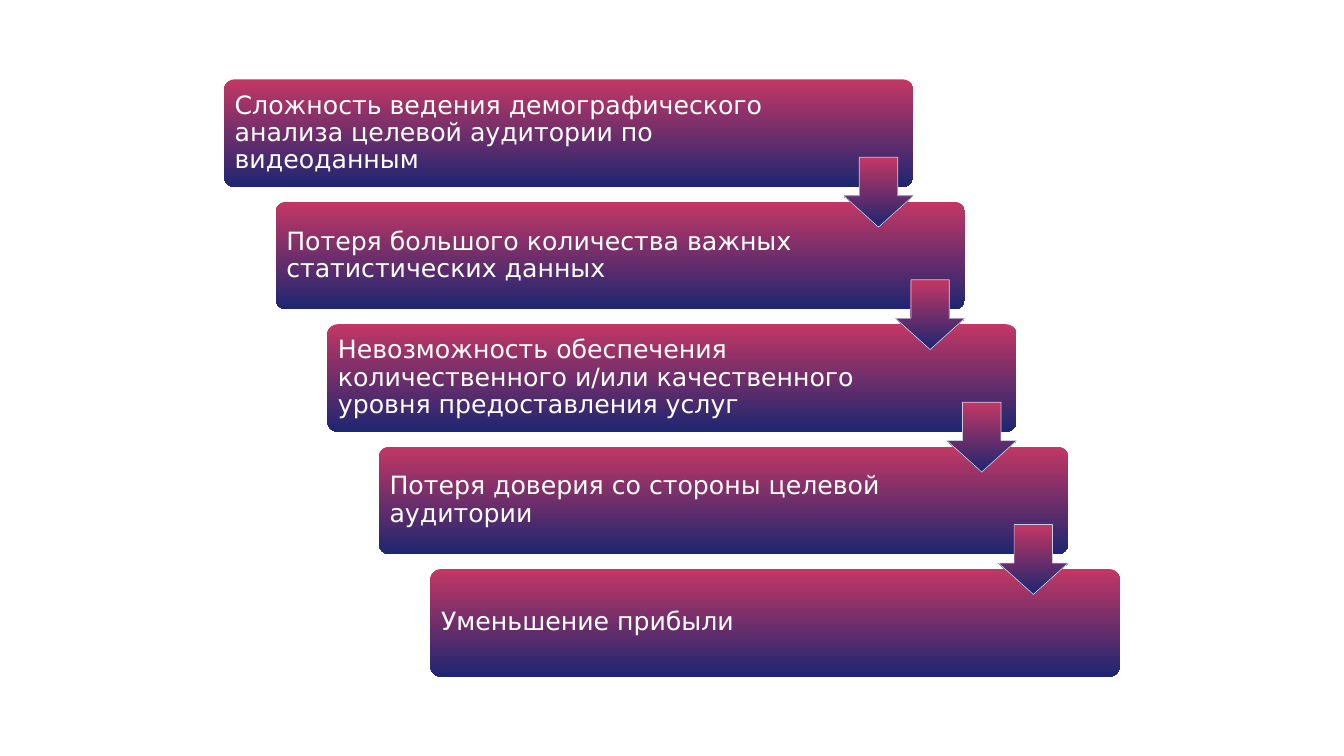
"""Build a slide with a descending staircase of consequences joined by arrows."""
from dataclasses import dataclass
from typing import Any

from lxml.etree import SubElement
from pptx import Presentation
from pptx.dml.color import RGBColor
from pptx.enum.shapes import MSO_SHAPE
from pptx.enum.text import MSO_ANCHOR, PP_ALIGN
from pptx.oxml.ns import qn
from pptx.shapes.autoshape import Shape
from pptx.slide import Slide
from pptx.util import Pt


@dataclass(frozen=True)
class Theme:
    """Colours and type of the slide."""
    gradient_top: RGBColor = RGBColor.from_string("C33764")
    gradient_bottom: RGBColor = RGBColor.from_string("1D2671")
    arrow_line: RGBColor = RGBColor.from_string("D2DEEF")
    text: RGBColor = RGBColor.from_string("FFFFFF")
    font: str = "DejaVu Sans"
    text_size: float = 18
    line_width: float = 0.5
    line_opacity: int = 90


@dataclass(frozen=True)
class Box:
    """Position and size in points."""
    left: float
    top: float
    width: float
    height: float

    def shifted(self, steps: int) -> "Box":
        """Return the box moved down the staircase."""
        return Box(self.left + steps * STEP_RIGHT, self.top + steps * STEP_DOWN,
                   self.width, self.height)


THEME = Theme()
STEP_RIGHT, STEP_DOWN = 36.87, 87.45
FIRST_STAIR = Box(160, 56.7, 492.5, 76.8)
ARROW_SIZE = 49.9
FIRST_ARROW = Box(FIRST_STAIR.left + FIRST_STAIR.width - ARROW_SIZE,
                  FIRST_STAIR.top + 55.7, ARROW_SIZE, ARROW_SIZE)
CONSEQUENCES = (
    "Сложность ведения демографического анализа целевой аудитории по видеоданным",
    "Потеря большого количества важных статистических данных",
    "Невозможность обеспечения количественного и/или качественного уровня предоставления услуг",
    "Потеря доверия со стороны целевой аудитории",
    "Уменьшение прибыли",
)
FRAME_FORMAT = {
    "word_wrap": True, "vertical_anchor": MSO_ANCHOR.MIDDLE,
    "margin_left": Pt(5.4), "margin_right": Pt(92.4),
    "margin_top": Pt(5.4), "margin_bottom": Pt(5.4),
}
PARAGRAPH_FORMAT = {"alignment": PP_ALIGN.LEFT, "line_spacing": 0.9}
FONT_FORMAT = {"name": THEME.font, "size": Pt(THEME.text_size)}


def apply_format(target: Any, values: dict[str, Any]) -> None:
    """Set every attribute named in the format values."""
    for name, value in values.items():
        setattr(target, name, value)


def add_gradient_shape(slide: Slide, kind: MSO_SHAPE, box: Box,
                       adjustments: tuple[float, ...]) -> Shape:
    """Add a preset shape filled from top to bottom with the theme gradient."""
    shape = slide.shapes.add_shape(kind, Pt(box.left), Pt(box.top),
                                   Pt(box.width), Pt(box.height))
    shape.shadow.inherit = False
    for index, value in enumerate(adjustments):
        shape.adjustments[index] = value
    shape.fill.gradient()
    shape.fill.gradient_angle = 270
    colours = (THEME.gradient_top, THEME.gradient_bottom)
    for position, (stop, colour) in enumerate(zip(shape.fill.gradient_stops, colours)):
        stop.position = position
        stop.color.rgb = colour
    return shape


def add_stair(slide: Slide, box: Box, text: str) -> None:
    """Add one rounded stair with its text."""
    shape = add_gradient_shape(slide, MSO_SHAPE.ROUNDED_RECTANGLE, box, (0.1,))
    shape.line.fill.background()
    apply_format(shape.text_frame, FRAME_FORMAT)
    paragraph = shape.text_frame.paragraphs[0]
    apply_format(paragraph, PARAGRAPH_FORMAT)
    run = paragraph.add_run()
    run.text = text
    apply_format(run.font, FONT_FORMAT)
    run.font.color.rgb = THEME.text


def add_arrow(slide: Slide, box: Box) -> None:
    """Add one arrow pointing down to the next stair."""
    shape = add_gradient_shape(slide, MSO_SHAPE.DOWN_ARROW, box, (0.55, 0.45))
    shape.line.width = Pt(THEME.line_width)
    shape.line.color.rgb = THEME.arrow_line
    colour = shape.line._get_or_add_ln().find(f".//{qn('a:srgbClr')}")
    SubElement(colour, qn("a:alpha"), val=str(THEME.line_opacity * 1000))


def main() -> None:
    """Build and save the presentation."""
    presentation = Presentation()
    apply_format(presentation, {"slide_width": Pt(960), "slide_height": Pt(540)})
    slide = presentation.slides.add_slide(presentation.slide_layouts[6])
    for index, text in enumerate(CONSEQUENCES):
        add_stair(slide, FIRST_STAIR.shifted(index), text)
    for index in range(len(CONSEQUENCES) - 1):
        add_arrow(slide, FIRST_ARROW.shifted(index))
    presentation.save("out.pptx")


if __name__ == "__main__":
    main()
